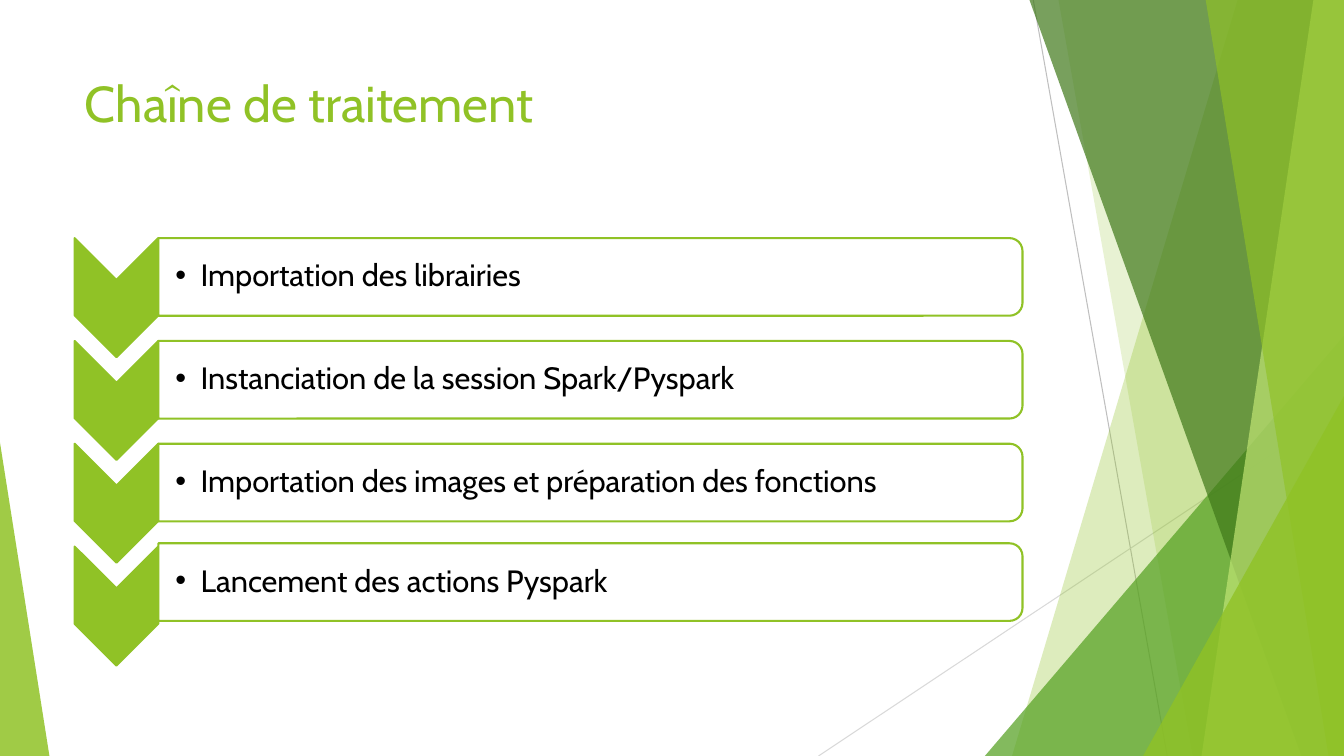
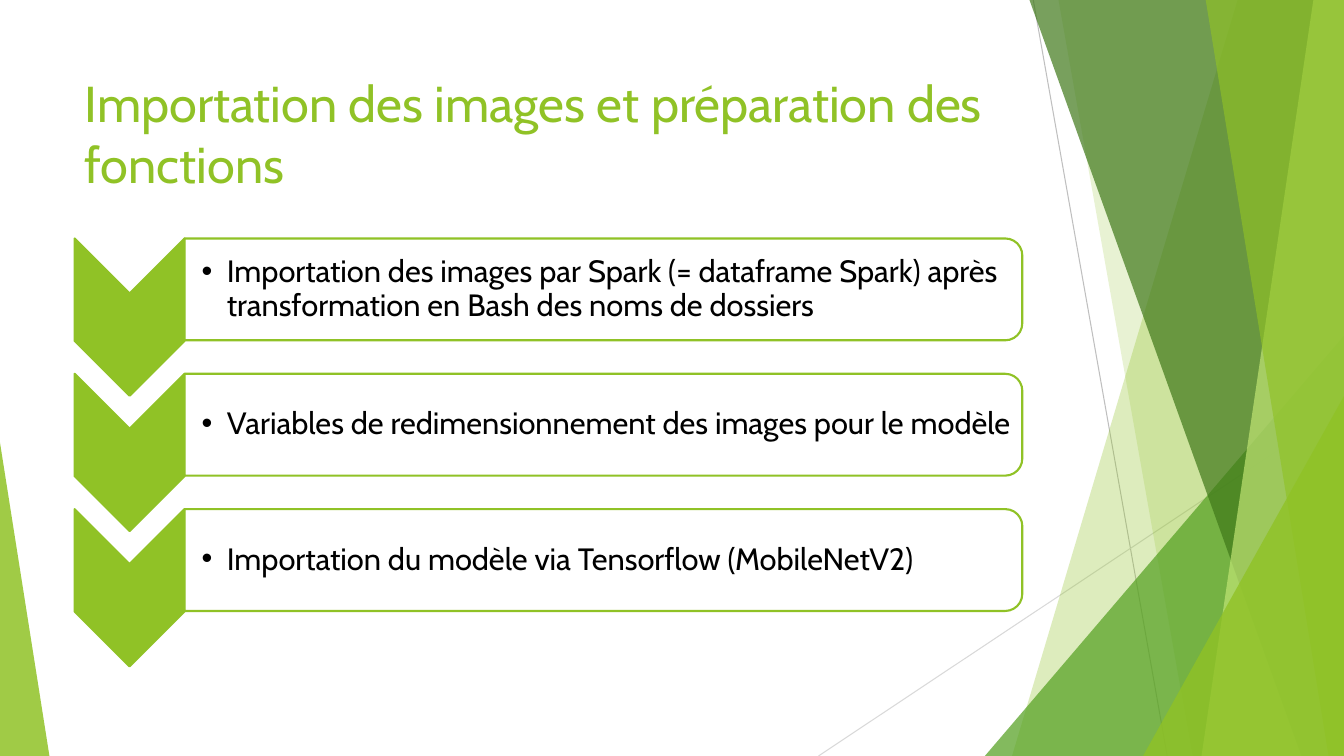
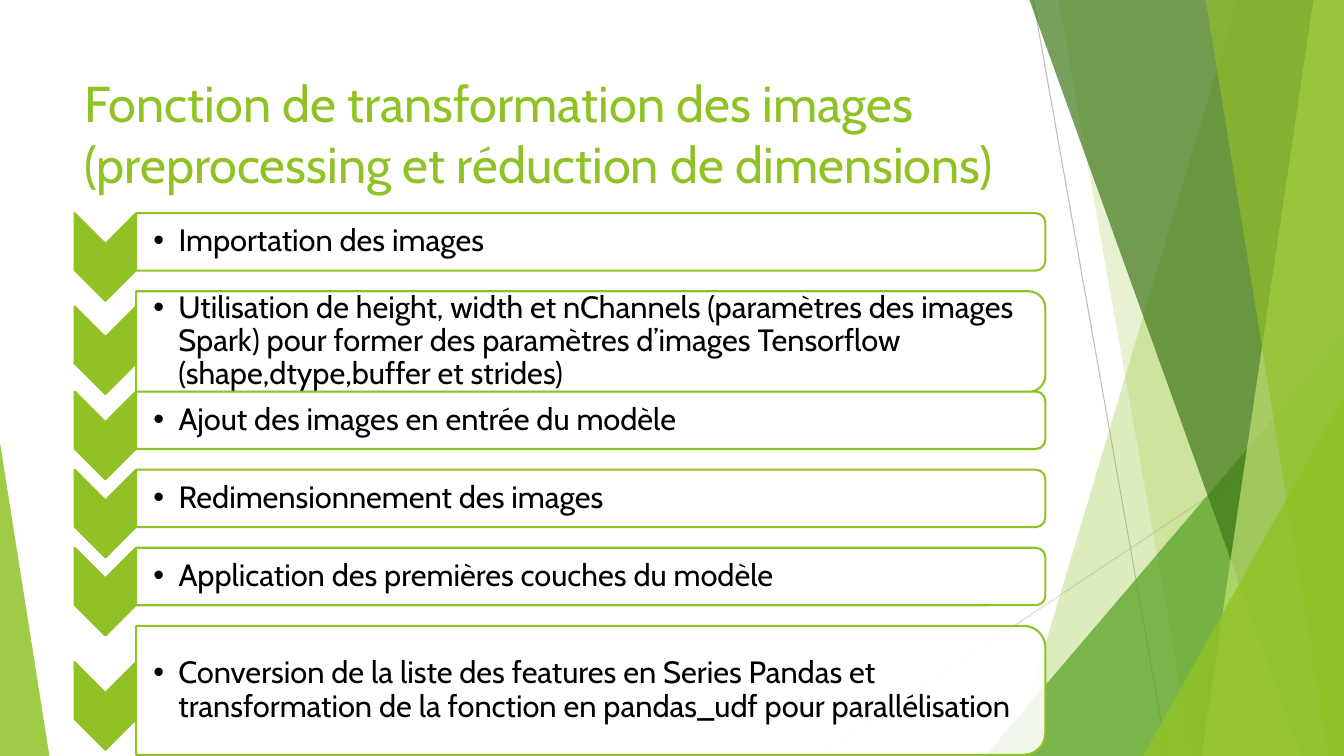
from dataclasses import dataclass

from lxml import etree
from pptx import Presentation, util as u
from pptx.dml.color import RGBColor
from pptx.enum import shapes, text
from pptx.oxml.ns import qn


@dataclass(frozen=True)
class Theme:
    font: str = "Cabin"
    title_size: int = 36
    step_size: int = 22
    outline: float = 1.5
    hairline: float = 0.75
    accent: str = "90C226"
    leaf: str = "54A021"
    forest: str = "3F7819"
    lime: str = "C0E474"
    paper: str = "FFFFFF"
    ink: str = "000000"
    grey: str = "BFBFBF"
    pale_grey: str = "D9D9D9"


class Deck:
    """Holds the style and the current slide; lengths are percent of the slide's size."""

    STEP_LEFT = 5.55
    CORNER_INSET = 0.05

    def __init__(self, theme):
        self.theme = theme
        self.presentation = Presentation()
        self.presentation.slide_width = u.Inches(13.33)
        self.presentation.slide_height = u.Inches(7.5)
        self.layout = self.presentation.slide_layouts[5]
        self.slide = None

    def x(self, share):
        return u.Emu(round(self.presentation.slide_width * share / 100))

    def y(self, share):
        return u.Emu(round(self.presentation.slide_height * share / 100))

    def area(self, left, top, width, height):
        return self.x(left), self.y(top), self.x(width), self.y(height)

    def start_slide(self, title, title_width=70.5):
        first = self.slide is None
        self.slide = self.presentation.slides.add_slide(self.layout)
        if first:
            self.backdrop()
        self.title(title, title_width)

    def title(self, words, width):
        shape = self.slide.shapes.title
        shape.left, shape.top, shape.width, shape.height = self.area(5.55, 8.93, width, 19.2)
        frame = shape.text_frame
        frame.word_wrap = True
        frame.auto_size = text.MSO_AUTO_SIZE.NONE
        frame.vertical_anchor = text.MSO_ANCHOR.TOP
        paragraph = frame.paragraphs[0]
        paragraph.alignment = text.PP_ALIGN.LEFT
        self.run(paragraph, words, self.theme.title_size, self.theme.accent)

    def run(self, paragraph, words, size, color):
        run = paragraph.add_run()
        run.text = words
        run.font.name = self.theme.font
        run.font.size = u.Pt(size)
        run.font.color.rgb = RGBColor.from_string(color)

    def paint(self, shape, color, opacity=100, outline=None):
        shape.shadow.inherit = False
        shape.fill.solid()
        shape.fill.fore_color.rgb = RGBColor.from_string(color)
        if opacity < 100:
            fill = shape._element.spPr.find(qn("a:solidFill"))
            etree.SubElement(fill[0], qn("a:alpha"), val=str(opacity * 1000))
        if outline:
            shape.line.color.rgb = RGBColor.from_string(outline)
            shape.line.width = u.Pt(self.theme.outline)
        else:
            shape.line.fill.background()

    def hairline(self, start, end, color):
        line = self.slide.shapes.add_connector(
            shapes.MSO_CONNECTOR.STRAIGHT,
            self.x(start[0]), self.y(start[1]), self.x(end[0]), self.y(end[1]))
        line.line.color.rgb = RGBColor.from_string(color)
        line.line.width = u.Pt(self.theme.hairline)
        etree.SubElement(line._element.spPr, qn("a:effectLst"))

    def facet(self, top_x, bottom_x, color, opacity):
        """Full-height panel with one slanted edge, ending at the right side of the slide."""
        top, bottom, right = self.y(-0.1), self.y(100), self.x(100)
        builder = self.slide.shapes.build_freeform(self.x(top_x), top)
        builder.add_line_segments(
            [(right, top), (right, bottom), (self.x(bottom_x), bottom)], close=True)
        self.paint(builder.convert_to_shape(), color, opacity)

    def corner(self, left, top, width, apex, color, opacity):
        """Triangle standing on the bottom edge; apex is 0 (left) or 1 (right)."""
        shape = self.slide.shapes.add_shape(
            shapes.MSO_SHAPE.ISOSCELES_TRIANGLE, *self.area(left, top, width, 100 - top))
        shape.adjustments[0] = apex
        self.paint(shape, color, opacity)

    def backdrop(self):
        """Draw the decoration, then move it to the layout that all slides share."""
        theme = self.theme
        self.hairline((76.88, 0), (86.85, 100), theme.grey)
        self.hairline((100, 53.73), (60.9, 100), theme.pale_grey)
        self.facet(92.1, 75.3, theme.accent, 30)
        self.facet(78.75, 88.73, theme.accent, 20)
        self.corner(73.28, 44.4, 26.72, 1, theme.leaf, 72)
        self.facet(76.58, 96.83, theme.forest, 70)
        self.facet(97.73, 89.4, theme.lime, 70)
        self.facet(89.7, 98.85, theme.accent, 65)
        self.corner(85.05, 52.4, 14.95, 1, theme.accent, 80)
        self.corner(0, 58.53, 3.68, 0, theme.accent, 85)
        decoration = [s for s in self.slide.shapes if not s.is_placeholder]
        for number, shape in enumerate(decoration, start=100):
            shape._element.xpath(".//p:cNvPr")[0].set("id", str(number))
            self.layout.shapes._spTree.append(shape._element)

    def turned_shape(self, kind, left, top, width, height):
        """Add a shape turned a quarter clockwise that covers the given area."""
        left, top, width, height = self.area(left, top, width, height)
        shift = (width - height) // 2
        shape = self.slide.shapes.add_shape(kind, left + shift, top - shift, height, width)
        shape.rotation = 90
        return shape

    def step(self, words, top, height, chevron_top, chevron_size, box_width):
        theme = self.theme
        chevron = self.turned_shape(
            shapes.MSO_SHAPE.CHEVRON, self.STEP_LEFT, chevron_top, *chevron_size)
        self.paint(chevron, theme.accent, outline=theme.accent)
        left = self.STEP_LEFT + chevron_size[0]
        box = self.turned_shape(
            shapes.MSO_SHAPE.ROUND_2_SAME_RECTANGLE, left, top, box_width, height)
        self.paint(box, theme.paper, 90, theme.accent)
        self.bullet(words, left, top, box_width, height)

    def bullet(self, words, left, top, width, height):
        """Place a bulleted line inside a box, clear of its rounded corners."""
        left, top, width, height = self.area(left, top, width, height)
        inset = round(height * self.CORNER_INSET)
        frame = self.slide.shapes.add_textbox(
            left, top + inset, width - inset, height - 2 * inset).text_frame
        frame.word_wrap = True
        frame.vertical_anchor = text.MSO_ANCHOR.MIDDLE
        frame.margin_left = u.Inches(0.17)
        frame.margin_top = frame.margin_right = frame.margin_bottom = u.Inches(0.02)
        paragraph = frame.paragraphs[0]
        properties = paragraph._p.get_or_add_pPr()
        properties.set("marL", str(u.Inches(0.25)))
        properties.set("indent", str(-u.Inches(0.25)))
        etree.SubElement(properties, qn("a:buFont"), typeface="Arial")
        etree.SubElement(properties, qn("a:buChar"), char="•")
        paragraph.line_spacing = 0.9
        self.run(paragraph, words, self.theme.step_size, self.theme.ink)


def processing_chain(deck):
    deck.start_slide("Chaîne de traitement")
    first, pitch = 31.5, 13.6
    steps = [
        ("Importation des librairies", 0),
        ("Instanciation de la session Spark/Pyspark", 0),
        ("Importation des images et préparation des fonctions", 0),
        ("Lancement des actions Pyspark", 0.43),
    ]
    for row, (words, lift) in enumerate(steps):
        top = first + row * pitch
        deck.step(words, top - lift, 10.27, top, (6.23, 15.73), 64.3)


def image_import(deck):
    deck.start_slide("Importation des images et préparation des fonctions")
    first, pitch = 31.55, 17.9
    steps = [
        "Importation des images par Spark (= dataframe Spark) après "
        "transformation en Bash des noms de dossiers",
        "Variables de redimensionnement des images pour le modèle",
        "Importation du modèle via Tensorflow (MobileNetV2)",
    ]
    for row, words in enumerate(steps):
        top = first + row * pitch
        deck.step(words, top, 13.47, top, (8.18, 20.8), 62.33)


def image_transformation(deck):
    deck.start_slide("Fonction de transformation des images "
                     "(preprocessing et réduction de dimensions)", 74.8)
    low, middle, high = 7.6, 13.33, 17.07
    lower_rows = [51.8 + 10.33 * row for row in range(4)]
    steps = [
        ("Importation des images", 28.2, low, 0),
        ("Utilisation de height, width et nChannels (paramètres des images Spark) "
         "pour former des paramètres d’images Tensorflow "
         "(shape,dtype,buffer et strides)", 38.53, middle, 2),
        ("Ajout des images en entrée du modèle", lower_rows[0], low, 0),
        ("Redimensionnement des images", lower_rows[1], low, 0),
        ("Application des premières couches du modèle", lower_rows[2], low, 0),
        ("Conversion de la liste des features en Series Pandas et transformation "
         "de la fonction en pandas_udf pour parallélisation", lower_rows[3], high, 4.8),
    ]
    for words, top, height, drop in steps:
        deck.step(words, top, height, top + drop, (4.58, 11.6), 67.65)


def main():
    deck = Deck(Theme())
    processing_chain(deck)
    image_import(deck)
    image_transformation(deck)
    deck.presentation.save("out.pptx")


if __name__ == "__main__":
    main()
